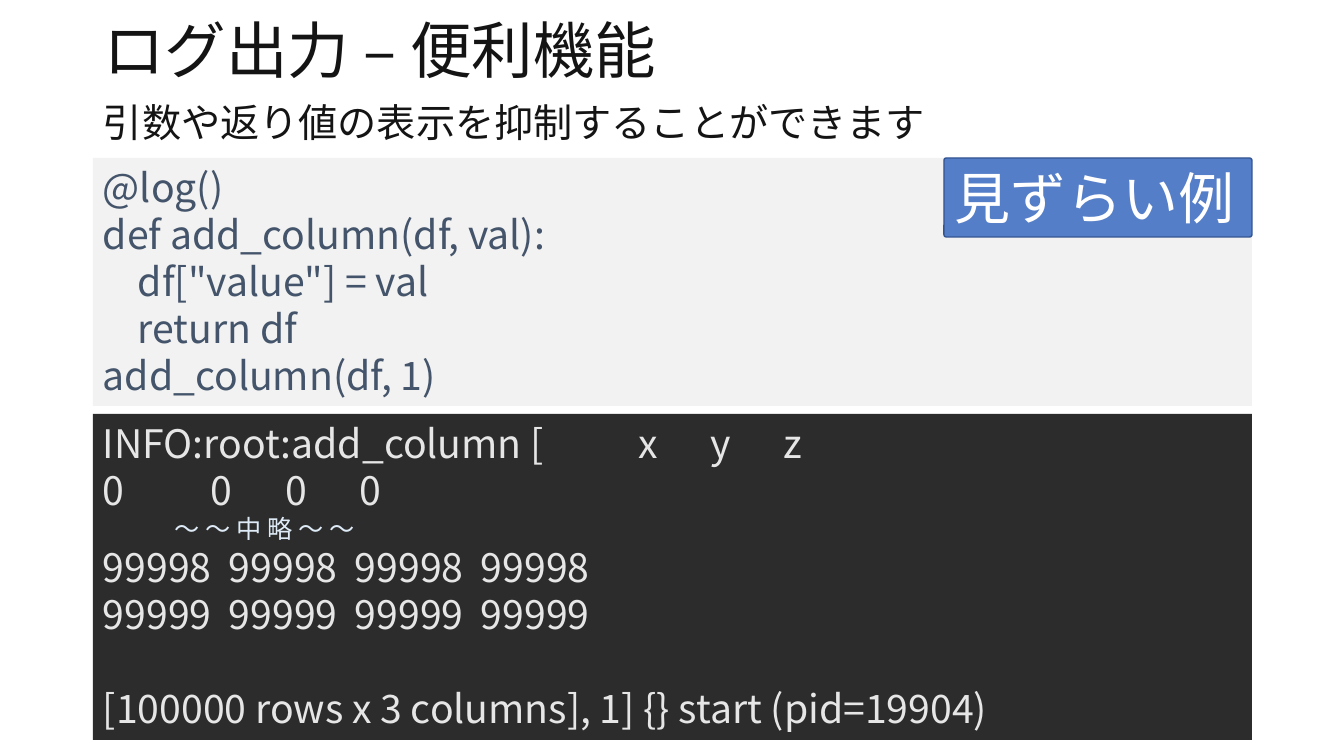
from lxml import etree
from pptx import Presentation
from pptx import util as u
from pptx.dml.color import RGBColor
from pptx.enum import shapes, text
from pptx.oxml.ns import qn

FONT = "Noto Sans CJK JP"
SCALE = 12192000 / 1344
LEFT, WIDTH = 93, 1159
BADGE_WIDTH = 308
INK, SLATE, PALE = "141414", "44546A", "E7E6E6"

TITLE = "ログ出力 – 便利機能"
SUBTITLE = "引数や返り値の表示を抑制することができます"
BADGE = "見ずらい例"
CODE = [
    ("@log()", {}),
    ("def add_column(df, val):", {}),
    ('df["value"] = val', {"indent": 35}),
    ("return df", {"indent": 35}),
    ("add_column(df, 1)", {}),
]
NUMBER_STOPS = [126 * column for column in (1, 2, 3)]
LOG = [
    ("INFO:root:add_column [\tx\ty\tz", {"stops": [536, 608, 681]}),
    ("0\t0\t0\t0", {"stops": [108, 183, 257]}),
    ("〜 〜 中 略 〜 〜", {"indent": 72, "size": 18, "color": "DEEBF7"}),
    ("\t".join(["99998"] * 4), {"stops": NUMBER_STOPS}),
    ("\t".join(["99999"] * 4), {"stops": NUMBER_STOPS}),
    ("[100000 rows x 3 columns], 1] {} start (pid=19904)", {"before": 47}),
]


def px(value):
    return u.Emu(round(value * SCALE))


def rgb(value):
    return RGBColor.from_string(value)


def write(para, words, size=28, color=INK, indent=0, before=0, stops=(), spacing=None):
    para.alignment = text.PP_ALIGN.LEFT
    para.space_before = px(before)
    if spacing:
        para.line_spacing = spacing
    properties = para._p.get_or_add_pPr()
    if indent:
        properties.set("marL", str(px(indent)))
        properties.set("indent", "0")
    if stops:
        tabs = etree.SubElement(properties, qn("a:tabLst"))
        for stop in stops:
            etree.SubElement(tabs, qn("a:tab"), pos=str(px(stop)), algn="l")
    span = para.add_run()
    span.text = words
    span.font.size = u.Pt(size)
    span.font.name = FONT
    span.font.color.rgb = rgb(color)
    etree.SubElement(span._r.get_or_add_rPr(), qn("a:ea"), typeface=FONT)


def fill_frame(box, lines, anchor=text.MSO_ANCHOR.TOP, **style):
    frame = box.text_frame
    frame.word_wrap = True
    frame.auto_size = text.MSO_AUTO_SIZE.SHAPE_TO_FIT_TEXT
    frame.vertical_anchor = anchor
    for index, (words, extra) in enumerate(lines):
        para = frame.add_paragraph() if index else frame.paragraphs[0]
        write(para, words, **{**style, **extra})


def add_panel(page, kind, place, fill):
    box = page.shapes.add_shape(kind, *map(px, place))
    box.shadow.inherit = False
    box.fill.solid()
    box.fill.fore_color.rgb = rgb(fill)
    box.line.fill.background()
    return box


def main():
    deck = Presentation()
    deck.slide_width, deck.slide_height = px(1344), px(756)
    page = deck.slides.add_slide(deck.slide_layouts[5])
    middle = text.MSO_ANCHOR.MIDDLE
    rectangle = shapes.MSO_SHAPE.RECTANGLE

    title = page.shapes.title
    title.left, title.top, title.width, title.height = map(px, (LEFT, 15, WIDTH, 78))
    fill_frame(title, [(TITLE, {})], middle, size=44, spacing=0.9)
    title.text_frame.auto_size = text.MSO_AUTO_SIZE.NONE

    code = add_panel(page, rectangle, (LEFT, 158, WIDTH, 248), "F2F2F2")
    fill_frame(code, CODE, color=SLATE)

    subtitle = page.shapes.add_textbox(*map(px, (LEFT, 93, WIDTH, 57)))
    fill_frame(subtitle, [(SUBTITLE, {})])

    log = add_panel(page, rectangle, (LEFT, 414, WIDTH, 326), "2C2C2C")
    fill_frame(log, LOG, color=PALE)

    badge_place = (LEFT + WIDTH - BADGE_WIDTH, 158, BADGE_WIDTH, 79)
    badge = add_panel(page, shapes.MSO_SHAPE.ROUNDED_RECTANGLE, badge_place, "4472C4")
    badge.adjustments[0] = 0.03
    badge.line.color.rgb = rgb("325491")
    badge.line.width = u.Pt(1)
    tint = badge._element.spPr.find(qn("a:solidFill")).find(qn("a:srgbClr"))
    etree.SubElement(tint, qn("a:alpha"), val="90000")
    fill_frame(badge, [(BADGE, {})], middle, size=40, color="FFFFFF")

    deck.save("out.pptx")


if __name__ == "__main__":
    main()
